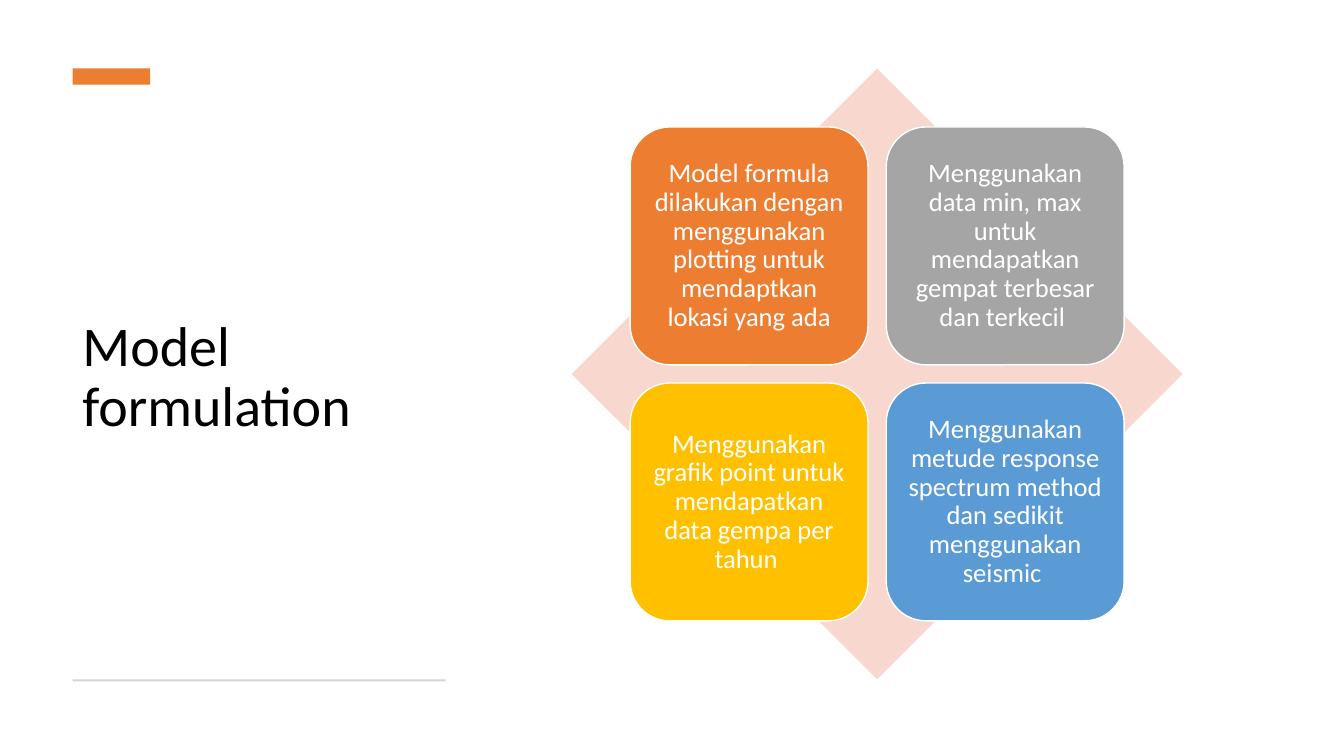
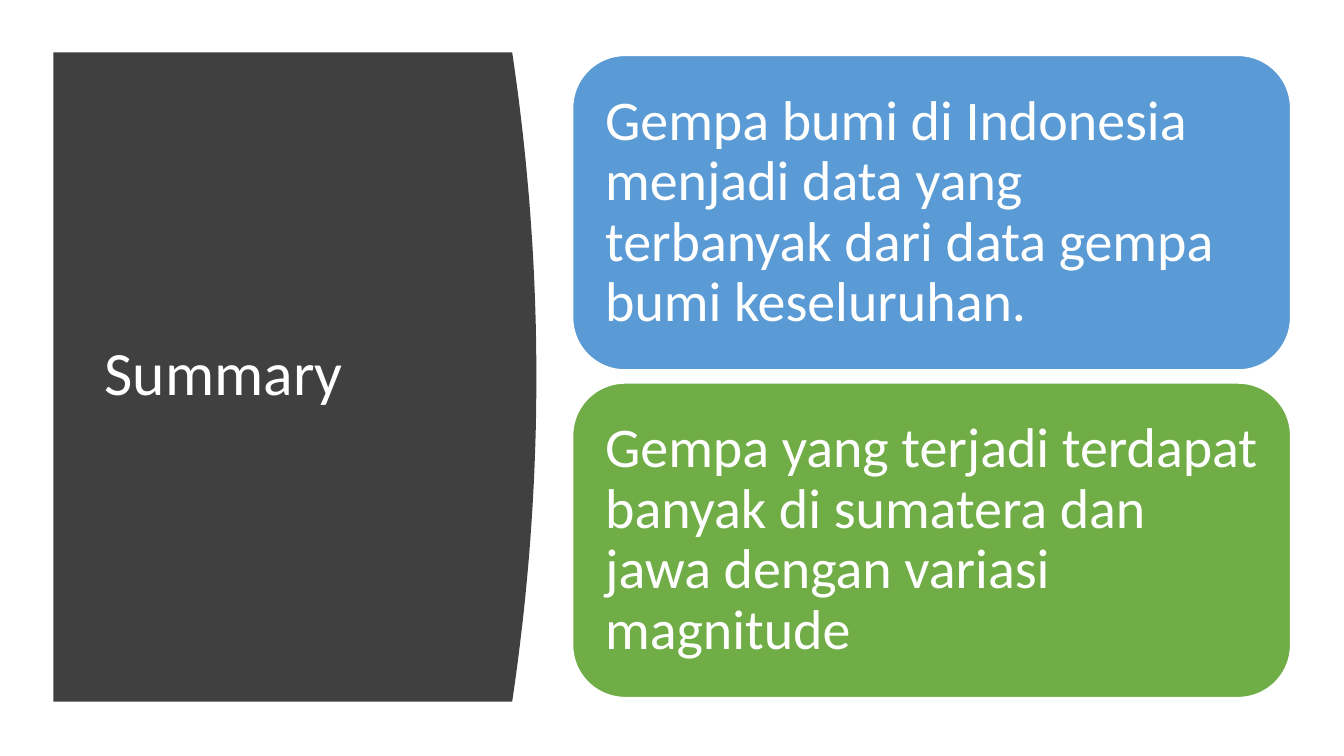
import pptx
import pptx.dml.color
import pptx.enum.shapes
import pptx.enum.text
import pptx.util

EMU_PER_PX = 9144  # 100 px to the inch
SHAPE = pptx.enum.shapes.MSO_SHAPE
ALIGN = pptx.enum.text.PP_ALIGN

# Shared colours
WHITE, BLACK, CHARCOAL = "FFFFFF", "000000", "404040"
ORANGE, GREY, GOLD, BLUE, GREEN = "ED7D31", "A5A5A5", "FFC000", "5B9BD5", "70AD47"
PALE_ORANGE, RULE_GREY = "F8D7CE", "D5D5D5"


def px(length):
    return pptx.util.Emu(round(length * EMU_PER_PX))


def colour(hex_string):
    return pptx.dml.color.RGBColor.from_string(hex_string)


class Deck:
    """Holds the style and the slide being drawn."""

    font = "Calibri"
    line_spacing = 0.9

    def __init__(self, width, height):
        self.presentation = pptx.Presentation()
        self.presentation.slide_width = px(width)
        self.presentation.slide_height = px(height)
        self.slide = None

    def new_slide(self):
        blank = self.presentation.slide_layouts[6]
        self.slide = self.presentation.slides.add_slide(blank)

    def paint(self, shape, fill, outline=None):
        shape.shadow.inherit = False
        shape.fill.solid()
        shape.fill.fore_color.rgb = colour(fill)
        if outline:
            shape.line.color.rgb = colour(outline)
            shape.line.width = pptx.util.Pt(1)
        else:
            shape.line.fill.background()

    def set_text(self, frame, text, size, text_colour, align):
        frame.word_wrap = True
        frame.vertical_anchor = pptx.enum.text.MSO_ANCHOR.MIDDLE
        paragraph = frame.paragraphs[0]
        paragraph.alignment = align
        paragraph.line_spacing = self.line_spacing
        run = paragraph.add_run()
        run.text = text
        run.font.name = self.font
        run.font.size = pptx.util.Pt(size)
        run.font.color.rgb = colour(text_colour)

    def title(self, box, text, size, text_colour):
        holder = self.slide.shapes.add_textbox(*map(px, box))
        self.set_text(holder.text_frame, text, size, text_colour, ALIGN.LEFT)

    def block(self, kind, box, fill, outline=None):
        shape = self.slide.shapes.add_shape(kind, *map(px, box))
        self.paint(shape, fill, outline)
        return shape

    def card(self, box, fill, text, size, inset, align):
        frame = self.block(SHAPE.ROUNDED_RECTANGLE, box, fill, WHITE).text_frame
        frame.margin_left = frame.margin_right = px(inset)
        frame.margin_top = frame.margin_bottom = px(inset)
        self.set_text(frame, text, size, WHITE, align)

    def bulging_panel(self, box, bulge, fill, steps=48):
        """A rectangle whose right edge swells outwards as a parabola."""
        left, top, width, height = box
        points = []
        for step in range(steps + 1):
            t = step / steps
            points.append((left + width + bulge * 4 * t * (1 - t), top + height * t))
        points.append((left, top + height))
        builder = self.slide.shapes.build_freeform(px(left), px(top), scale=1.0)
        builder.add_line_segments([(px(x), px(y)) for x, y in points], close=True)
        self.paint(builder.convert_to_shape(), fill)


def model_formulation(deck):
    deck.new_slide()

    # Title column with accent bar and bottom rule
    deck.title((72, 105, 370, 541), "Model formulation", 40, BLACK)
    deck.block(SHAPE.RECTANGLE, (72, 68, 77, 16), ORANGE)
    deck.block(SHAPE.RECTANGLE, (72, 674, 370, 2), RULE_GREY)

    # Diamond with a two by two grid of steps
    deck.block(SHAPE.DIAMOND, (567, 68, 606, 606), PALE_ORANGE)
    steps = [
        (ORANGE, "Model formula dilakukan dengan menggunakan plotting untuk "
                 "mendaptkan lokasi yang ada"),
        (GREY, "Menggunakan data min, max untuk mendapatkan gempat terbesar "
               "dan terkecil "),
        (GOLD, "Menggunakan grafik point untuk mendapatkan data gempa per tahun "),
        (BLUE, "Menggunakan metude response spectrum method dan sedikit "
               "menggunakan seismic "),
    ]
    side, gap = 236, 18
    for index, (fill, text) in enumerate(steps):
        row, column = divmod(index, 2)
        box = (625 + column * (side + gap), 126 + row * (side + gap), side, side)
        deck.card(box, fill, text, 19, 8, ALIGN.CENTER)


def summary(deck):
    deck.new_slide()

    # Dark panel with the title
    deck.bulging_panel((53, 52, 455, 644), 24, CHARCOAL)
    deck.title((94, 111, 374, 524), "Summary", 44, WHITE)

    # Stacked findings
    findings = [
        (BLUE, "Gempa bumi di Indonesia menjadi data yang terbanyak dari data "
               "gempa bumi keseluruhan."),
        (GREEN, "Gempa yang terjadi terdapat banyak di sumatera dan jawa dengan "
                "variasi magnitude"),
    ]
    height, gap = 312, 13
    for row, (fill, text) in enumerate(findings):
        box = (568, 55 + row * (height + gap), 712, height)
        deck.card(box, fill, text, 40, 17, ALIGN.LEFT)


def main():
    deck = Deck(1333, 750)
    model_formulation(deck)
    summary(deck)
    deck.presentation.save("out.pptx")


if __name__ == "__main__":
    main()
